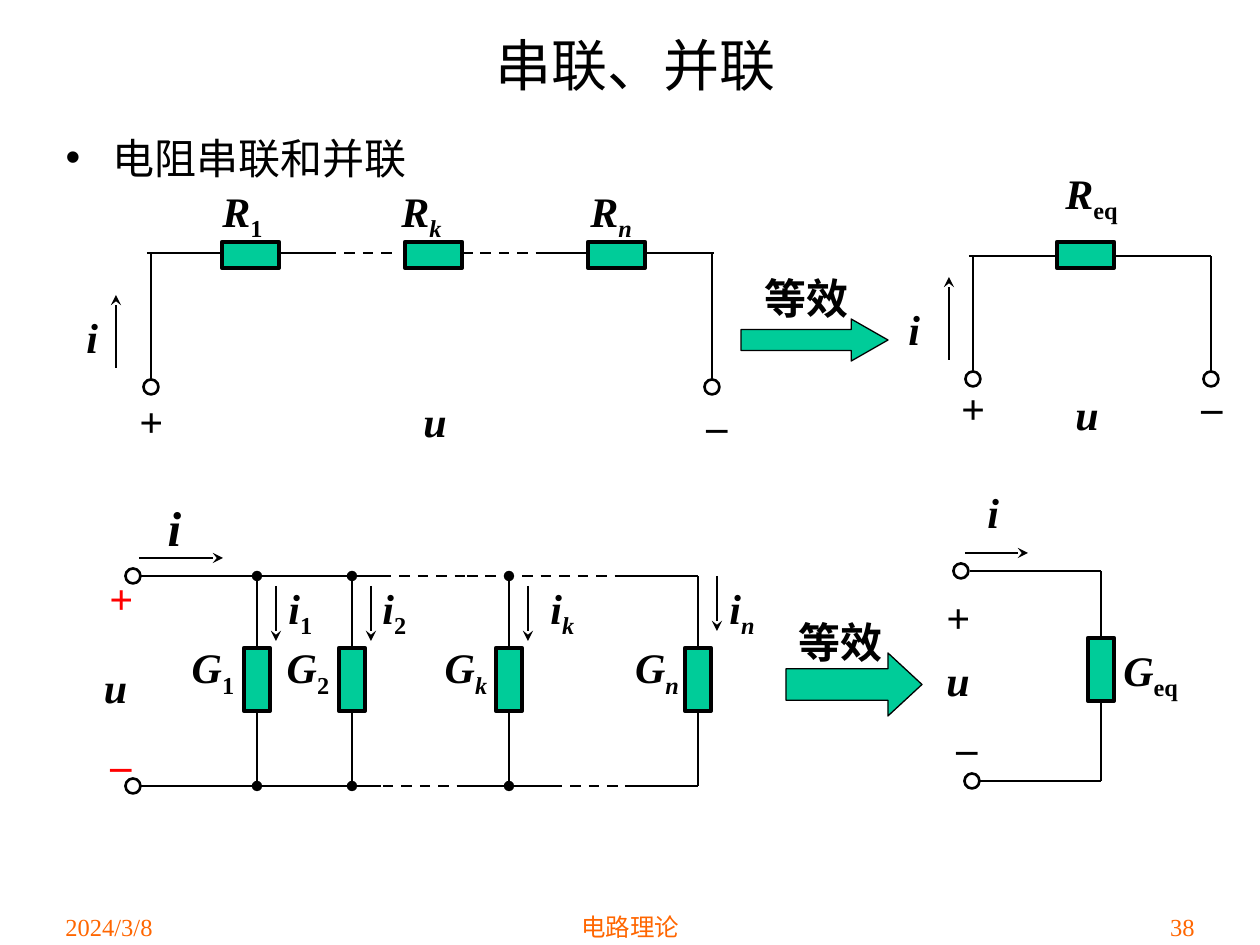
from dataclasses import dataclass

from lxml.etree import SubElement
from pptx import Presentation
from pptx.dml.color import RGBColor
from pptx.enum.dml import MSO_LINE
from pptx.enum.shapes import MSO_CONNECTOR, MSO_SHAPE
from pptx.enum.text import MSO_ANCHOR, MSO_AUTO_SIZE, PP_ALIGN
from pptx.oxml.ns import qn
from pptx.util import Emu, Pt

PX_PER_INCH = 126


@dataclass(frozen=True)
class Theme:
    font: str = "Times New Roman"
    ink: str = "000000"
    red: str = "FF0000"
    green: str = "00CC99"
    orange: str = "FF6600"
    title_size: int = 32
    source_size: int = 28
    text_size: int = 24
    footer_size: int = 14
    wire: float = 1.5
    outline: float = 2.5
    thin: float = 0.75


THEME = Theme()


def px(value):
    return Emu(round(value * 914400 / PX_PER_INCH))


def rgb(code):
    return RGBColor.from_string(code)


def style_run(run, size, color, bold=False, italic=False):
    font = run.font
    font.name, font.size, font.bold, font.italic = THEME.font, Pt(size), bold, italic
    font.color.rgb = rgb(color)


def fill_placeholder(holder, words, size, box, align):
    holder.left, holder.top, holder.width, holder.height = map(px, box)
    frame = holder.text_frame
    frame.text = words
    frame.auto_size = MSO_AUTO_SIZE.NONE
    paragraph = frame.paragraphs[0]
    paragraph.alignment = align
    paragraph.space_before = Pt(0)
    style_run(paragraph.runs[0], size, THEME.ink)


def add_footer(slide, words, x, width, align):
    frame = slide.shapes.add_textbox(px(x), px(906), px(width), px(63)).text_frame
    frame.word_wrap = True
    frame.text = words
    frame.paragraphs[0].alignment = align
    style_run(frame.paragraphs[0].runs[0], THEME.footer_size, THEME.orange)


def add_label(slide, x, y, width, symbol, subscript="", color=THEME.ink,
              size=THEME.text_size, height=63, centred=False, rotation=0):
    """Bold label; single letters are variables and so are italic."""
    box = slide.shapes.add_textbox(px(x), px(y), px(width), px(height))
    box.rotation = rotation
    frame = box.text_frame
    frame.word_wrap = not centred
    paragraph = frame.paragraphs[0]
    if centred:
        frame.vertical_anchor = MSO_ANCHOR.MIDDLE
        paragraph.alignment = PP_ALIGN.CENTER
    for part in filter(None, (symbol, subscript)):
        run = paragraph.add_run()
        run.text = part
        style_run(run, size, color, True, len(part) == 1 and part.isalpha())
    if subscript:
        run.font._element.set("baseline", "-25000")


def add_wire(slide, x1, y1, x2, y2, dashed=False, head=None, tail=None):
    wire = slide.shapes.add_connector(MSO_CONNECTOR.STRAIGHT, *map(px, (x1, y1, x2, y2)))
    wire.line.color.rgb = rgb(THEME.ink)
    wire.line.width = Pt(THEME.wire)
    if dashed:
        wire.line.dash_style = MSO_LINE.DASH
    for tag, end in (("a:headEnd", head), ("a:tailEnd", tail)):
        if end:
            SubElement(wire.line._ln, qn(tag), type=end)
    SubElement(wire._element.spPr, qn("a:effectLst"))


def add_current(slide, x1, y1, x2, y2):
    add_wire(slide, x1, y1, x2, y2, tail="stealth")


def add_outlined(slide, kind, box, line_width, fill=None):
    shape = slide.shapes.add_shape(kind, *map(px, box))
    shape.shadow.inherit = False
    if fill:
        shape.fill.solid()
        shape.fill.fore_color.rgb = rgb(fill)
    else:
        shape.fill.background()
    shape.line.color.rgb = rgb(THEME.ink)
    shape.line.width = Pt(line_width)
    return shape


def add_resistor(slide, x, y, width, height):
    add_outlined(slide, MSO_SHAPE.RECTANGLE, (x, y, width, height), THEME.outline, THEME.green)


def add_terminal(slide, cx, cy):
    add_outlined(slide, MSO_SHAPE.OVAL, (cx - 7.5, cy - 7.5, 15, 15), THEME.wire)


def add_equivalence(slide, box, head_ratio, label_x, label_y, label_width):
    arrow = add_outlined(slide, MSO_SHAPE.RIGHT_ARROW, box, THEME.thin, THEME.green)
    arrow.adjustments[0], arrow.adjustments[1] = 0.5, head_ratio
    add_label(slide, label_x, label_y, label_width, "等效")


def draw_series(slide):
    left, right, top, end = 151, 712, 253, 379
    for x1, x2, dashed in ((147, 222, False), (278, 330, False), (326, 399, True),
                           (462, 537, True), (537, 588, False), (645, 714, False)):
        add_wire(slide, x1, top, x2, top, dashed)
    for x in (left, right):
        add_wire(slide, x, top, x, end)
        add_terminal(slide, x, 387)
    for name, label_x, x in (("1", 210, 222), ("k", 389, 405), ("n", 578, 588)):
        add_resistor(slide, x, 242, 57, 26)
        add_label(slide, label_x, 179, 84, "R", name)
    add_current(slide, 116, 368, 116, 295)
    add_label(slide, 74, 305, 42, "i")
    add_label(slide, 127, 389, 42, "+")
    add_label(slide, 411, 389, 71, "u")
    add_label(slide, 694, 379, 42, "_")


def draw_series_equivalent(slide):
    left, right, top, end = 973, 1211, 256, 372
    add_wire(slide, 969, top, 1057, top)
    add_wire(slide, 1114, top, right, top)
    for x in (left, right):
        add_wire(slide, x, end, x, top)
        add_terminal(slide, x, 379)
    add_resistor(slide, 1057, 242, 57, 26)
    add_label(slide, 1053, 161, 147, "R", "eq")
    add_current(slide, 949, 360, 949, 277)
    add_label(slide, 896, 297, 42, "i")
    add_label(slide, 944, 377, 53, "+", rotation=270)
    add_label(slide, 1063, 382, 53, "u")
    add_label(slide, 1189, 360, 42, "_")


def draw_parallel(slide):
    top, bottom, last = 576, 786, 698
    rails = {
        top: ((139, 381, False), (381, 465, True), (467, 552, True),
              (541, 625, True), (625, last, False)),
        bottom: ((139, 381, False), (383, 467, True), (467, 552, False),
                 (552, 635, True), (625, last, False)),
    }
    for y, segments in rails.items():
        for x1, x2, dashed in segments:
            add_wire(slide, x1, y, x2, y, dashed)
        add_terminal(slide, 133, y)
    for name, x, g_x, i_x in (("1", 257, 178, 276), ("2", 352, 273, 370),
                              ("k", 509, 431, 538), ("n", last, 622, 717)):
        node = None if x == last else "oval"
        start = top if x == last else top + 10
        add_wire(slide, x, bottom, x, top, head=node, tail=node)
        add_resistor(slide, x - 13, 648, 26, 63)
        add_current(slide, x + 19, start, x + 19, start + 55)
        add_label(slide, g_x, 639, 70, "G", name, centred=True)
        add_label(slide, i_x, 576, 71, "i", name)
    add_current(slide, 139, 558, 223, 558)
    add_label(slide, 155, 491, 39, "i", size=THEME.source_size, height=72, centred=True)
    add_label(slide, 97, 566, 49, "+", color=THEME.red, centred=True)
    add_label(slide, 91, 655, 49, "u", centred=True)
    add_label(slide, 98, 718, 47, "_", color=THEME.red)


def draw_parallel_equivalent(slide):
    top, bottom, right = 571, 781, 1101
    add_wire(slide, 970, top, right, top)
    add_wire(slide, 979, bottom, right, bottom)
    add_wire(slide, right, top, right, bottom)
    add_terminal(slide, 961, top)
    add_terminal(slide, 972, bottom)
    add_resistor(slide, right - 13, 638, 26, 63)
    add_label(slide, 1111, 638, 94, "G", "eq")
    add_current(slide, 965, 553, 1028, 553)
    add_label(slide, 975, 480, 42, "i")
    add_label(slide, 934, 585, 53, "+")
    add_label(slide, 934, 648, 53, "u")
    add_label(slide, 944, 701, 42, "_")


def main():
    deck = Presentation()
    deck.slide_width, deck.slide_height = px(1260), px(945)
    slide = deck.slides.add_slide(deck.slide_layouts[1])
    title, body = slide.placeholders
    fill_placeholder(title, "串联、并联", THEME.title_size, (53, 33, 1165, 63), PP_ALIGN.CENTER)
    fill_placeholder(body, "电阻串联和并联", THEME.text_size, (53, 126, 1165, 714), PP_ALIGN.LEFT)
    add_footer(slide, "2024/3/8", 53, 262, PP_ALIGN.LEFT)
    add_footer(slide, "电路理论", 431, 399, PP_ALIGN.CENTER)
    add_footer(slide, "38", 945, 262, PP_ALIGN.RIGHT)
    draw_series(slide)
    add_equivalence(slide, (741, 319, 147, 42), 0.875, 752, 266, 126)
    draw_series_equivalent(slide)
    draw_parallel(slide)
    add_equivalence(slide, (786, 653, 136, 63), 0.54, 786, 610, 116)
    draw_parallel_equivalent(slide)
    deck.save("out.pptx")


if __name__ == "__main__":
    main()
